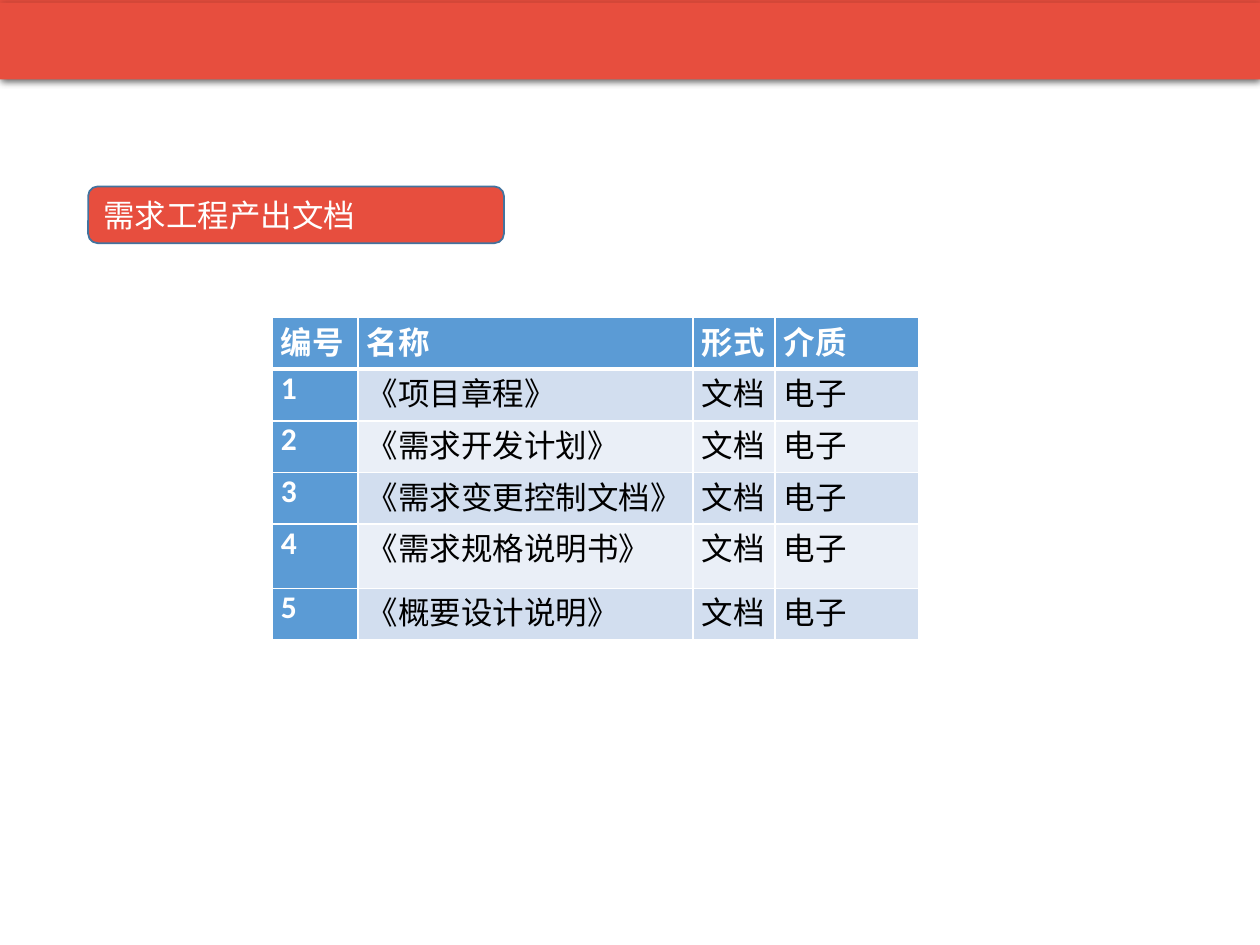
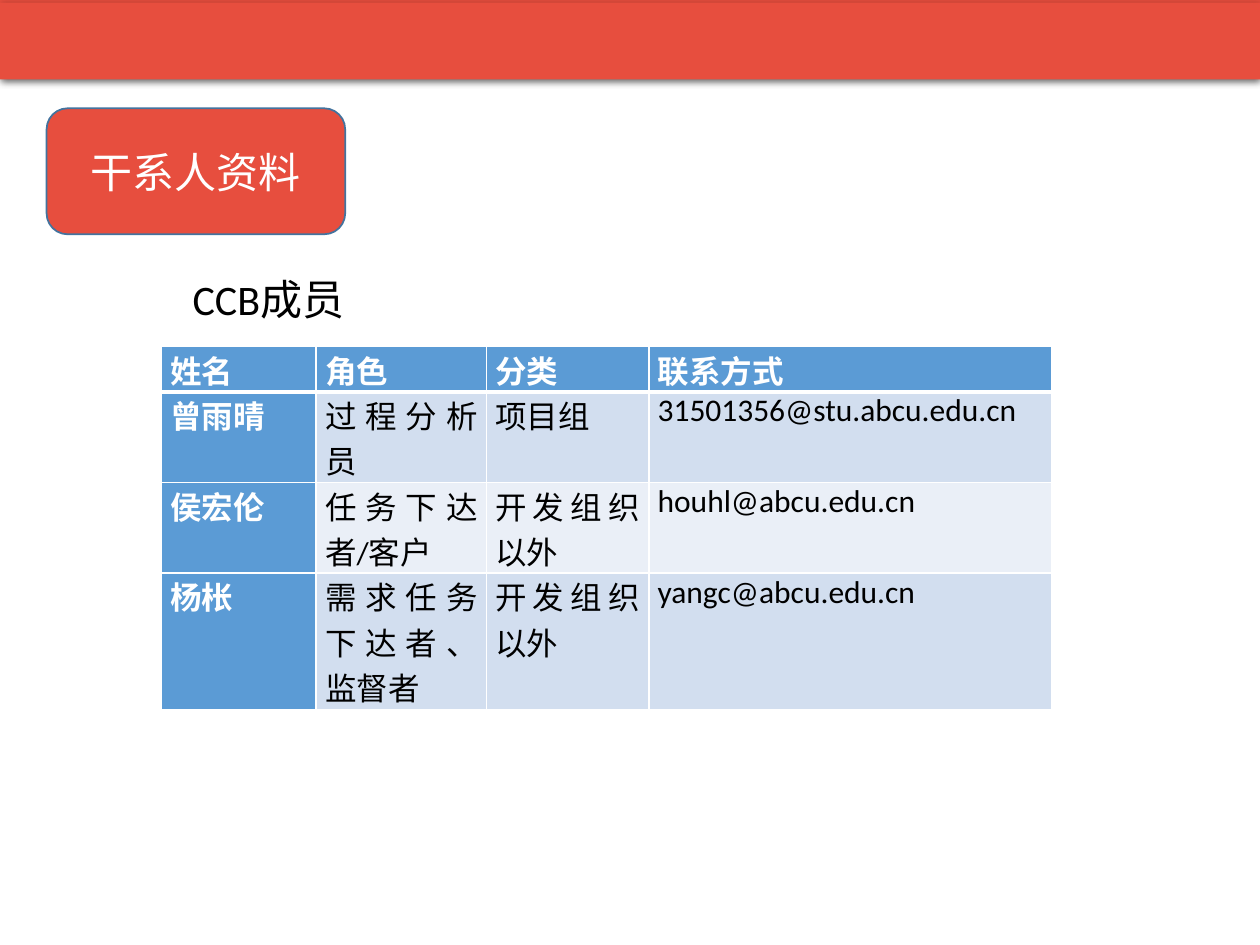
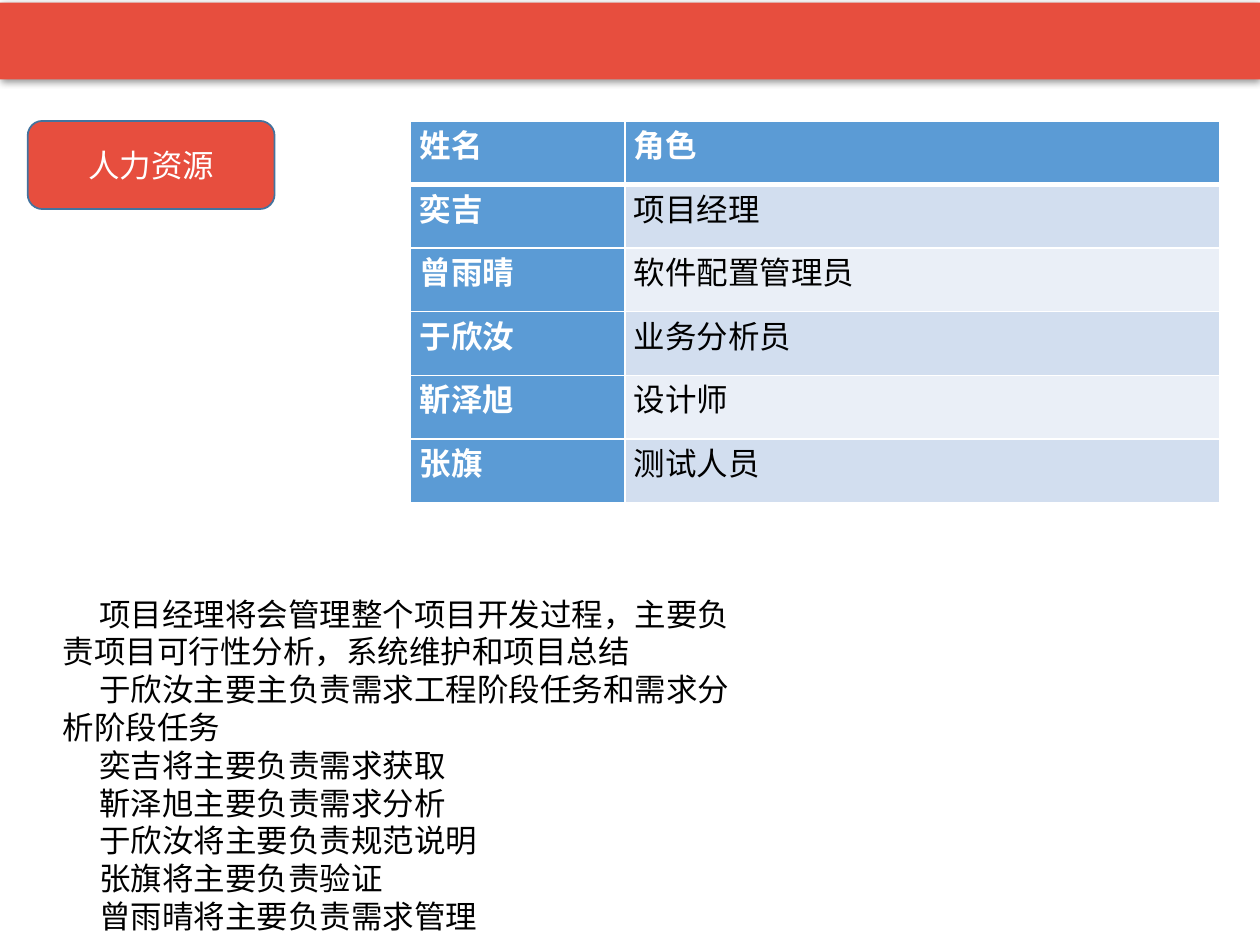
import pptx
import pptx.dml.color
import pptx.enum.shapes
import pptx.enum.text
import pptx.oxml
import pptx.oxml.ns
import pptx.util

Inches = pptx.util.Inches
Pt = pptx.util.Pt
RGBColor = pptx.dml.color.RGBColor
ALIGN = pptx.enum.text.PP_ALIGN
ANCHOR = pptx.enum.text.MSO_ANCHOR
SHAPE = pptx.enum.shapes.MSO_SHAPE

RED = RGBColor(0xE7, 0x4E, 0x3E)
OUTLINE = RGBColor(0x43, 0x73, 0x9E)
BLUE = RGBColor(0x5B, 0x9B, 0xD5)
STRIPES = (RGBColor(0xD2, 0xDE, 0xEF), RGBColor(0xEA, 0xEF, 0xF7))
WHITE = RGBColor(0xFF, 0xFF, 0xFF)
BLACK = RGBColor(0, 0, 0)
LATIN_FONT = "Calibri"
CHINESE_FONT = "Noto Sans CJK SC"

DOCUMENTS = [("编号", "名称", "形式", "介质")] + [
    (str(number), name, "文档", "电子")
    for number, name in enumerate(
        ("《项目章程》", "《需求开发计划》", "《需求变更控制文档》",
         "《需求规格说明书》", "《概要设计说明》"), start=1)
]
CCB_MEMBERS = [
    ("姓名", "角色", "分类", "联系方式"),
    ("曾雨晴", "过程分析员", "项目组", "31501356@stu.abcu.edu.cn"),
    ("侯宏伦", "任务下达者/客户", "开发组织以外", "houhl@abcu.edu.cn"),
    ("杨枨", "需求任务下达者、监督者", "开发组织以外", "yangc@abcu.edu.cn"),
]
TEAM = [
    ("姓名", "角色"),
    ("奕吉", "项目经理"),
    ("曾雨晴", "软件配置管理员"),
    ("于欣汝", "业务分析员"),
    ("靳泽旭", "设计师"),
    ("张旗", "测试人员"),
]
DUTIES = [
    "项目经理将会管理整个项目开发过程，主要负责项目可行性分析，系统维护和项目总结",
    "于欣汝主要主负责需求工程阶段任务和需求分析阶段任务",
    "奕吉将主要负责需求获取",
    "靳泽旭主要负责需求分析",
    "于欣汝将主要负责规范说明",
    "张旗将主要负责验证",
    "曾雨晴将主要负责需求管理",
]


def drawing_xml(body):
    """Parse one element whose tags use the a: prefix."""
    tag, rest = body[1:].split(" ", 1)
    return pptx.oxml.parse_xml(f"<{tag} {pptx.oxml.ns.nsdecls('a')} {rest}")


def write(frame, text, *, size=18, color=BLACK, bold=False, align=ALIGN.LEFT,
          font=LATIN_FONT, indent=0, line_spacing=None):
    """Fill a text frame; a list of strings gives one paragraph each."""
    frame.word_wrap = True
    for index, line in enumerate([text] if isinstance(text, str) else text):
        paragraph = frame.add_paragraph() if index else frame.paragraphs[0]
        paragraph.alignment = align
        paragraph.line_spacing = line_spacing
        if indent:
            paragraph._p.get_or_add_pPr().set("indent", str(Inches(indent)))
        run = paragraph.add_run()
        run.text = line
        run.font.name = font
        run.font.size = Pt(size)
        run.font.bold = bold
        run.font.color.rgb = color
        run._r.rPr.append(drawing_xml(f'<a:ea typeface="{CHINESE_FONT}"/>'))


def add_band(slide, top):
    band = slide.shapes.add_shape(SHAPE.RECTANGLE, 0, Inches(top), Inches(10), Inches(0.61))
    band.fill.solid()
    band.fill.fore_color.rgb = RED
    band.line.fill.background()
    band._element.spPr.append(drawing_xml(
        f'<a:effectLst ><a:outerShdw blurRad="{Pt(4)}" dist="{Pt(1)}" dir="5400000">'
        '<a:srgbClr val="000000"><a:alpha val="40000"/></a:srgbClr>'
        '</a:outerShdw></a:effectLst>'))


def add_title_plate(slide, text, box, *, size=18, align=ALIGN.CENTER):
    """Put the slide title on a rounded red plate."""
    left, top, width, height = map(Inches, box)
    plate = slide.shapes.add_shape(SHAPE.ROUNDED_RECTANGLE, left, top, width, height)
    plate.shadow.inherit = False
    plate.fill.solid()
    plate.fill.fore_color.rgb = RED
    plate.line.color.rgb = OUTLINE
    plate.line.width = Pt(1)

    title = slide.shapes.title
    title.left, title.top, title.width, title.height = left, top, width, height
    frame = title.text_frame
    frame.auto_size = pptx.enum.text.MSO_AUTO_SIZE.NONE
    frame.vertical_anchor = ANCHOR.MIDDLE
    frame.margin_left = frame.margin_right = Inches(0.12)
    write(frame, text, size=size, color=WHITE, align=align)
    plate._element.addnext(title._element)


def add_text(slide, text, box, **style):
    write(slide.shapes.add_textbox(*map(Inches, box)).text_frame, text, **style)


def set_borders(cell, **widths):
    for side in "LRTB":
        cell._tc.get_or_add_tcPr().append(drawing_xml(
            f'<a:ln{side} w="{Pt(widths.get(side, 1))}">'
            f'<a:solidFill><a:srgbClr val="{WHITE}"/></a:solidFill></a:ln{side}>'))


def add_data_table(slide, rows, left, top, column_widths, row_heights):
    """Table with a blue header row and first column, and striped rows."""
    table = slide.shapes.add_table(
        len(rows), len(column_widths), Inches(left), Inches(top),
        Inches(sum(column_widths)), Inches(sum(row_heights))).table
    table.first_col = True
    for column, width in zip(table.columns, column_widths):
        column.width = Inches(width)
    for row, height in zip(table.rows, row_heights):
        row.height = Inches(height)
    for r, values in enumerate(rows):
        for c, value in enumerate(values):
            cell = table.cell(r, c)
            heading = r == 0 or c == 0
            cell.margin_left = cell.margin_right = Inches(0.07)
            cell.margin_top = cell.margin_bottom = 0
            set_borders(cell, T=3 if r == 1 else 1, B=3 if r == 0 else 1)
            cell.fill.solid()
            cell.fill.fore_color.rgb = BLUE if heading else STRIPES[(r - 1) % 2]
            write(cell.text_frame, value, bold=heading, align=ALIGN.JUSTIFY,
                  color=WHITE if heading else BLACK)


def add_slide(deck, band_tops):
    slide = deck.slides.add_slide(deck.slide_layouts.get_by_name("Title Only"))
    for top in band_tops:
        add_band(slide, top)
    return slide


def main():
    deck = pptx.Presentation()
    deck.slide_width, deck.slide_height = Inches(10), Inches(7.5)

    documents = add_slide(deck, (0, 0.02))
    add_title_plate(documents, "需求工程产出文档", (0.7, 1.48, 3.3, 0.45), align=ALIGN.LEFT)
    add_data_table(documents, DOCUMENTS, 2.16, 2.52, (0.68, 2.66, 0.65, 1.14),
                   (0.41, 0.41, 0.41, 0.41, 0.51, 0.41))

    stakeholders = add_slide(deck, (0, 0.02))
    add_title_plate(stakeholders, "干系人资料", (0.37, 0.86, 2.37, 1), size=24)
    add_text(stakeholders, "CCB成员", (1.43, 2.12, 2.46, 0.5), size=24)
    add_data_table(stakeholders, CCB_MEMBERS, 1.28, 2.75, (1.23, 1.35, 1.29, 3.2),
                   (0.36, 0.72, 0.72, 1.08))

    staffing = add_slide(deck, (0.02,))
    add_title_plate(staffing, "人力资源", (0.22, 0.96, 1.96, 0.7))
    add_data_table(staffing, TEAM, 3.26, 0.96, (1.7, 4.72), [0.505] * len(TEAM))
    add_text(staffing, DUTIES, (0.4, 4.67, 5.56, 2.8), font=CHINESE_FONT,
             indent=0.29, line_spacing=Pt(21.6))

    deck.save("out.pptx")


if __name__ == "__main__":
    main()
